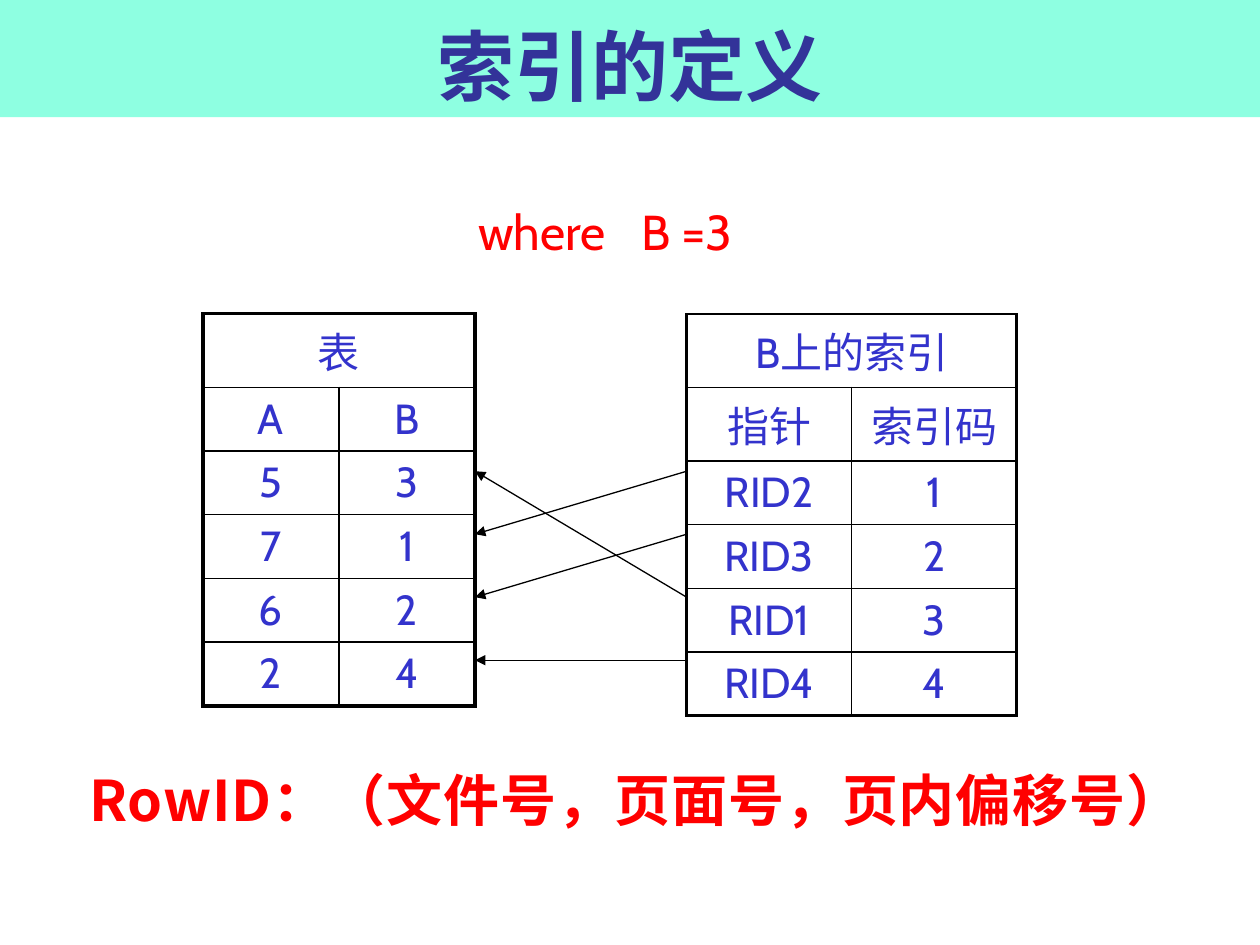
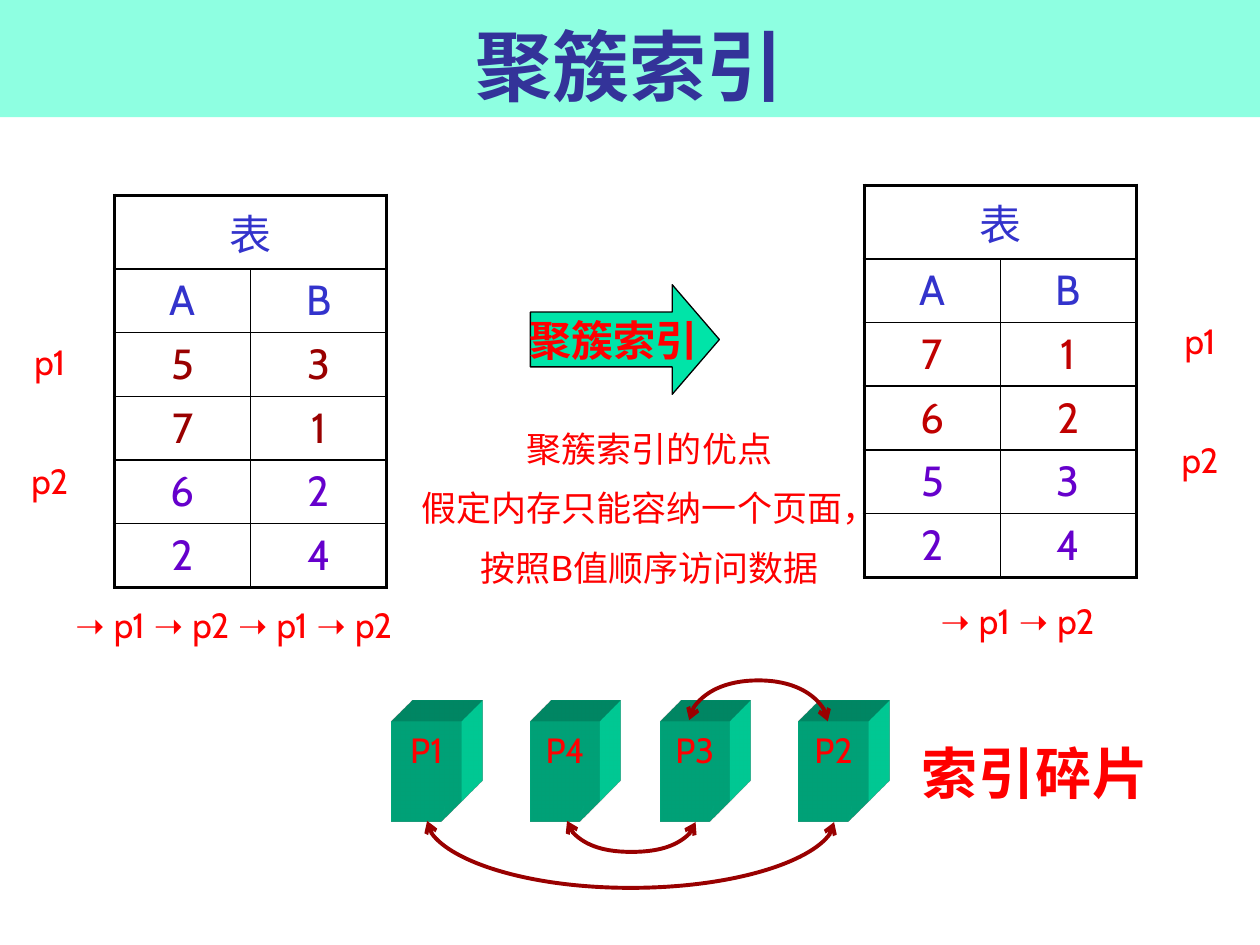
from dataclasses import dataclass

from lxml.etree import SubElement
from pptx import Presentation
from pptx.dml.color import RGBColor
from pptx.enum.shapes import MSO_CONNECTOR, MSO_SHAPE
from pptx.enum.text import MSO_ANCHOR, MSO_AUTO_SIZE, PP_ALIGN
from pptx.oxml import parse_xml
from pptx.oxml.ns import nsdecls, qn
from pptx.util import Inches, Pt

BAND = "8EFFE1"
GREEN = "00E4A8"
NAVY = "333399"
BLUE = "3333CC"
RED = "FF0000"
MAROON = "990000"
CRIMSON = "C00000"
PURPLE = "6600CC"
BLACK = "000000"

LATIN = "Cabin"
SANS = "Lato"
CJK = "Noto Sans CJK JP"

THICK, THIN = 2.25, 1
CJK_ROW, LATIN_ROW = 0.58, 0.5
CURVE_BOX = 0.01


@dataclass
class Piece:
    text: str
    font: str = LATIN
    spacing: float = 0


@dataclass
class Grid:
    left: float
    top: float
    column_width: float
    rows: list[tuple[str, ...]]
    row_colors: list[str]
    cjk_rows: int = 1
    top_border: float = THICK


@dataclass
class Curve:
    start: float
    end: float
    level: float
    depth: float


def paint(value: str) -> RGBColor:
    return RGBColor.from_string(value)


def write(frame, lines, *, size, color, font=LATIN, asian=SANS, bold=False,
          spacing=0.0, gap=0.0, wrap=True, anchor=MSO_ANCHOR.TOP) -> None:
    frame.word_wrap = wrap
    frame.vertical_anchor = anchor
    for index, line in enumerate(lines):
        paragraph = frame.paragraphs[0] if index == 0 else frame.add_paragraph()
        paragraph.alignment = PP_ALIGN.CENTER
        paragraph.space_before = Pt(gap if index else 0)
        pieces = [Piece(line, font, spacing)] if isinstance(line, str) else line
        for piece in pieces:
            run = paragraph.add_run()
            run.text = piece.text
            run.font.size = Pt(size)
            run.font.bold = bold
            run.font.color.rgb = paint(color)
            run.font.name = piece.font
            properties = run.font._element
            SubElement(properties, qn("a:ea")).set("typeface", asian)
            if piece.spacing:
                properties.set("spc", str(round(piece.spacing * 100)))


def add_label(slide, left: float, top: float, width: float, height: float,
              lines, **text_format) -> None:
    box = slide.shapes.add_textbox(Inches(left), Inches(top), Inches(width), Inches(height))
    write(box.text_frame, lines, **text_format)
    box.text_frame.auto_size = MSO_AUTO_SIZE.SHAPE_TO_FIT_TEXT


def add_titled_slide(presentation, title: str):
    slide = presentation.slides.add_slide(presentation.slide_layouts[5])
    shape = slide.shapes.title
    shape.left, shape.top = Inches(0), Inches(0)
    shape.width, shape.height = presentation.slide_width, Inches(0.93)
    shape.fill.solid()
    shape.fill.fore_color.rgb = paint(BAND)
    write(shape.text_frame, [title], size=44, color=NAVY, bold=True,
          anchor=MSO_ANCHOR.BOTTOM)
    shape.text_frame.auto_size = MSO_AUTO_SIZE.NONE
    return slide


def set_borders(cell, widths: dict[str, float]) -> None:
    properties = cell._tc.get_or_add_tcPr()
    for side in "LRTB":
        line = SubElement(properties, qn(f"a:ln{side}"), w=str(Pt(widths[side])))
        fill = SubElement(line, qn("a:solidFill"))
        SubElement(fill, qn("a:srgbClr"), val=BLACK)


def add_grid(slide, grid: Grid) -> None:
    count = len(grid.rows)
    heights = [CJK_ROW if i < grid.cjk_rows else LATIN_ROW for i in range(count)]
    table = slide.shapes.add_table(
        count, 2, Inches(grid.left), Inches(grid.top),
        Inches(2 * grid.column_width), Inches(sum(heights))).table
    table.first_row = table.horz_banding = False
    for column in table.columns:
        column.width = Inches(grid.column_width)
    table.cell(0, 0).merge(table.cell(0, 1))
    for i, values in enumerate(grid.rows):
        table.rows[i].height = Inches(heights[i])
        for j in range(2):
            cell = table.cell(i, j)
            header = i == 0
            set_borders(cell, {
                "L": THICK if j == 0 else THIN,
                "R": THICK if j == 1 or header else THIN,
                "T": grid.top_border if header else THIN,
                "B": THICK if i == count - 1 else THIN,
            })
            cell.fill.background()
            if j < len(values):
                write(cell.text_frame, [values[j]], size=24,
                      color=grid.row_colors[i], asian=CJK)


def set_preset_guide(shape, name: str, value: float) -> None:
    geometry = shape.element.spPr.find(qn("a:prstGeom"))
    guides = geometry.find(qn("a:avLst"))
    if guides is None:
        guides = SubElement(geometry, qn("a:avLst"))
    SubElement(guides, qn("a:gd"), name=name, fmla=f"val {round(value * 100000)}")


def style_line(connector, color: str, width: float, **ends: str) -> None:
    connector.line.color.rgb = paint(color)
    connector.line.width = Pt(width)
    line = connector.line._get_or_add_ln()
    for end, kind in ends.items():
        SubElement(line, qn(f"a:{end}"), type=kind)
    SubElement(connector.element.spPr, qn("a:effectLst"))


def add_pointer(slide, start_y: float, end_y: float) -> None:
    connector = slide.shapes.add_connector(
        MSO_CONNECTOR.STRAIGHT, Inches(5.45), Inches(start_y), Inches(3.77), Inches(end_y))
    style_line(connector, BLACK, 0.75, tailEnd="triangle")


def add_curve(slide, curve: Curve) -> None:
    center = (curve.start + curve.end) / 2
    half_span = (curve.end - curve.start) / 2
    connector = slide.shapes.add_connector(
        MSO_CONNECTOR.CURVE,
        Inches(center + CURVE_BOX / 2), Inches(curve.level - half_span),
        Inches(center - CURVE_BOX / 2), Inches(curve.level + half_span))
    connector.element.spPr.find(qn("a:xfrm")).set("rot", str(270 * 60000))
    set_preset_guide(connector, "adj1", curve.depth / CURVE_BOX)
    style_line(connector, MAROON, 2.25, headEnd="arrow", tailEnd="arrow")


def add_green_shape(slide, kind, left: float, top: float, width: float, height: float):
    shape = slide.shapes.add_shape(
        kind, Inches(left), Inches(top), Inches(width), Inches(height))
    shape.fill.solid()
    shape.fill.fore_color.rgb = paint(GREEN)
    shape.line.fill.background()
    shape.shadow.inherit = False
    return shape


def add_page_block(slide, left: float, name: str) -> None:
    shape = add_green_shape(slide, MSO_SHAPE.FOLDED_CORNER, left, 5.73, 0.55, 0.79)
    set_preset_guide(shape, "adj", 0.29)
    properties = shape.element.spPr
    properties.append(parse_xml(
        f'<a:scene3d {nsdecls("a")}><a:camera prst="legacyObliqueTopRight"/>'
        '<a:lightRig rig="legacyFlat3" dir="b"/></a:scene3d>'))
    properties.append(parse_xml(
        f'<a:sp3d {nsdecls("a")} extrusionH="430200" prstMaterial="legacyMatte">'
        '<a:bevelT w="13500" h="13500" prst="angle"/>'
        '<a:bevelB w="13500" h="13500" prst="angle"/>'
        f'<a:extrusionClr><a:srgbClr val="{GREEN}"/></a:extrusionClr></a:sp3d>'))
    write(shape.text_frame, [name], size=20, color=RED)


def add_access_order(slide, left: float, top: float, pages: list[str]) -> None:
    pieces = []
    for index, page in enumerate(pages):
        pieces.append(Piece("➝ " if index == 0 else " ➝ ", SANS))
        pieces.append(Piece(page))
    add_label(slide, left, top, 3.31, 0.44, [pieces], size=20, color=RED)


def build_definition(presentation) -> None:
    slide = add_titled_slide(presentation, "索引的定义")
    add_grid(slide, Grid(
        1.61, 2.49, 1.08,
        [("表",), ("A", "B"), ("5", "3"), ("7", "1"), ("6", "2"), ("2", "4")],
        [BLUE] * 6))
    add_grid(slide, Grid(
        5.45, 2.49, 1.31,
        [("B上的索引",), ("指针", "索引码"), ("RID2", "1"), ("RID3", "2"),
         ("RID1", "3"), ("RID4", "4")],
        [BLUE] * 6, cjk_rows=2, top_border=THIN))
    for index_row, table_row in enumerate([1, 2, 0, 3]):
        add_pointer(slide, 3.74 + 0.5 * index_row, 3.74 + 0.5 * table_row)
    add_label(slide, 3.19, 1.55, 3.23, 0.57,
              [[Piece("where"), Piece(" ", spacing=14), Piece("B =3")]],
              size=28, color=RED)
    add_label(slide, 0.59, 6.03, 8.92, 0.64,
              ["RowID：（文件号，页面号，页内偏移号）"],
              size=32, color=RED, font=CJK, bold=True, spacing=0.5)


def build_clustered(presentation) -> None:
    slide = add_titled_slide(presentation, "聚簇索引")
    header = [("表",), ("A", "B")]
    add_grid(slide, Grid(
        0.91, 1.55, 1.08, header + [("5", "3"), ("7", "1"), ("6", "2"), ("2", "4")],
        [BLUE] * 2 + [MAROON] * 2 + [PURPLE] * 2))
    add_grid(slide, Grid(
        6.86, 1.47, 1.08, header + [("7", "1"), ("6", "2"), ("5", "3"), ("2", "4")],
        [BLUE] * 2 + [CRIMSON] * 2 + [PURPLE] * 2))

    arrow = add_green_shape(slide, MSO_SHAPE.RIGHT_ARROW, 4.21, 2.26, 1.5, 0.87)
    arrow.adjustments[1] = 0.43
    arrow.line.color.rgb = paint(BLACK)
    arrow.line.width = Pt(0.75)
    write(arrow.text_frame, ["聚簇索引"], size=24, color=RED, font=CJK, bold=True,
          wrap=False, anchor=MSO_ANCHOR.MIDDLE)

    for left, top in [(0.04, 2.65), (9.17, 2.49)]:
        add_label(slide, left, top, 0.71, 1.45, ["p1", "p2"], size=20, color=RED, gap=44)
    add_access_order(slide, 0.2, 4.74, ["p1", "p2", "p1", "p2"])
    add_access_order(slide, 6.42, 4.71, ["p1", "p2"])
    add_label(slide, 2.95, 3.34, 4.41, 1.45,
              ["聚簇索引的优点", "假定内存只能容纳一个页面，", "按照B值顺序访问数据"],
              size=20, color=RED, font=SANS, gap=10)

    for left, name in [(3.11, "P1"), (4.21, "P4"), (5.24, "P3"), (6.34, "P2")]:
        add_page_block(slide, left, name)
    for curve in [Curve(3.39, 6.62, 6.52, 0.54), Curve(5.47, 6.57, 5.72, -0.32),
                  Curve(4.5, 5.52, 6.52, 0.25)]:
        add_curve(slide, curve)
    add_label(slide, 7.2, 5.81, 2.03, 0.64, ["索引碎片"], size=32, color=RED,
              font=CJK, bold=True, spacing=0.5, wrap=False)


def main() -> None:
    presentation = Presentation()
    presentation.slide_width = Inches(10)
    presentation.slide_height = Inches(7.5)
    build_definition(presentation)
    build_clustered(presentation)
    presentation.save("out.pptx")


if __name__ == "__main__":
    main()
